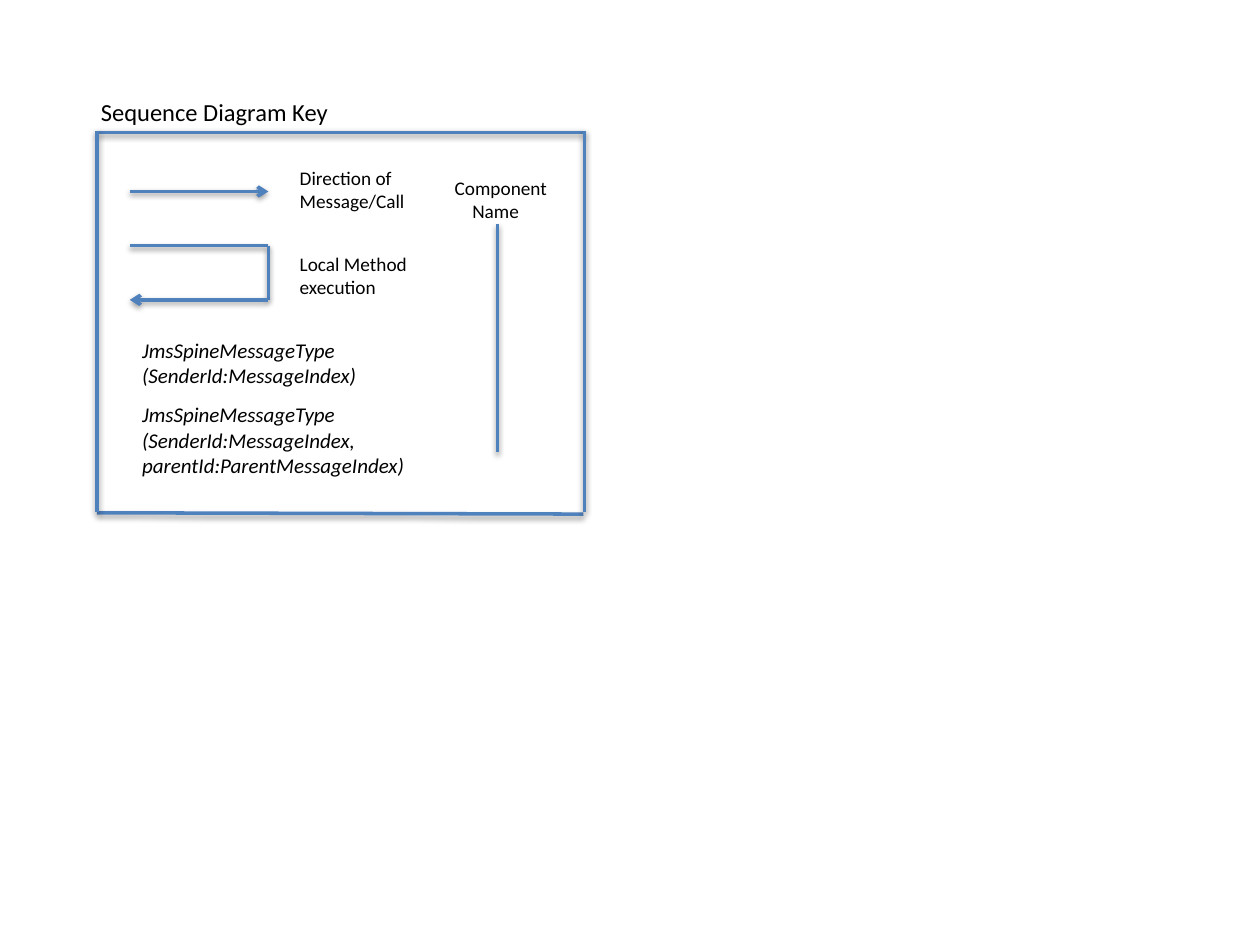
from lxml import etree
from pptx import Presentation
from pptx.dml.color import RGBColor
from pptx.enum import shapes, text
from pptx.oxml import ns
from pptx.util import Inches, Pt

BLUE = RGBColor(0x4F, 0x81, 0xBD)
BLACK = RGBColor(0, 0, 0)


class Key:
    """Draws the parts of a sequence diagram key on one slide."""

    face = {"name": "Calibri", "bold": False}
    frame = {"word_wrap": True, "vertical_anchor": text.MSO_ANCHOR.TOP,
             "auto_size": text.MSO_AUTO_SIZE.NONE}

    def __init__(self, slide):
        self.slide = slide

    def put(self, shape, lines, size, italic=False, indent=0):
        body = shape.text_frame
        body.text = "\n".join(lines)
        for name, value in self.frame.items():
            setattr(body, name, value)
        font = {**self.face, "size": Pt(size), "italic": italic}
        for part in body.paragraphs:
            part.alignment = text.PP_ALIGN.LEFT
            for run in part.runs:
                for name, value in font.items():
                    setattr(run.font, name, value)
                run.font.color.rgb = BLACK
        if indent:
            body.paragraphs[-1]._p.get_or_add_pPr().set("marL", str(Inches(indent)))

    def title(self, line, box):
        shape = self.slide.shapes.title
        sides = ("left", "top", "width", "height")
        for side, value in zip(sides, box):
            setattr(shape, side, Inches(value))
        self.put(shape, [line], 14)

    def label(self, lines, box, size=11, **style):
        shape = self.slide.shapes.add_textbox(*map(Inches, box))
        self.put(shape, lines, size, **style)

    def line(self, start, end, arrow=False):
        link = self.slide.shapes.add_connector(
            shapes.MSO_CONNECTOR.STRAIGHT, *map(Inches, start + end))
        link.line.color.rgb = BLUE
        link.line.width = Pt(2)
        if arrow:
            etree.SubElement(link.get_or_add_ln(), ns.qn("a:tailEnd"), type="arrow")


def main():
    deck = Presentation()
    deck.slide_width, deck.slide_height = Inches(10), Inches(7.5)
    key = Key(deck.slides.add_slide(deck.slide_layouts[5]))

    key.title("Sequence Diagram Key", (0.7, 0.72, 2.71, 0.34))
    left, right, top, base = 0.77, 4.64, 1.04, 4.06
    key.line((left, 1.05), (right, 1.05))
    key.line((left, 4.07), (4.63, 4.08))
    for x in (left, right):
        key.line((x, top), (x, base))

    tail, head = 1.03, 2.13
    key.line((tail, 1.52), (head, 1.52), arrow=True)
    key.line((tail, 1.95), (head, 1.95))
    key.line((head, 1.95), (head, 2.38))
    key.line((head, 2.38), (tail, 2.38), arrow=True)
    key.line((3.95, 1.78), (3.95, 3.59))

    key.label(["Direction of Message/Call"], (2.28, 1.27, 1.22, 0.47))
    key.label(["Local Method execution"], (2.28, 1.95, 1.22, 0.47))
    key.label(["Component", "Name"], (3.51, 1.35, 0.97, 0.47), indent=0.14)
    key.label(["JmsSpineMessageType", "(SenderId:MessageIndex)"],
              (tail, 2.63, 2, 0.5), size=12, italic=True)
    key.label(["JmsSpineMessageType", "(SenderId:MessageIndex,",
               "parentId:ParentMessageIndex)"],
              (tail, 3.14, 2.47, 0.71), size=12, italic=True)
    deck.save("out.pptx")


if __name__ == "__main__":
    main()
